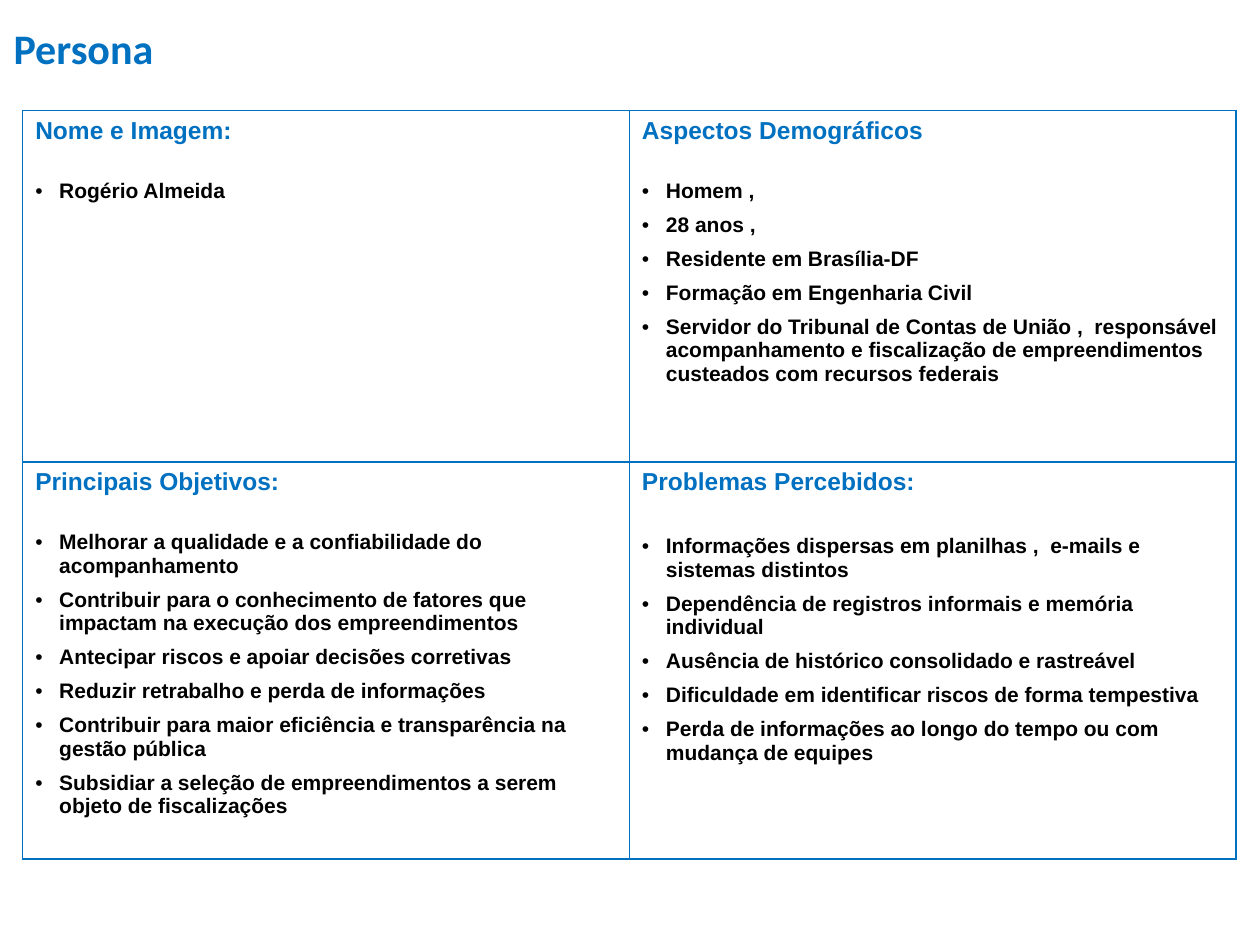
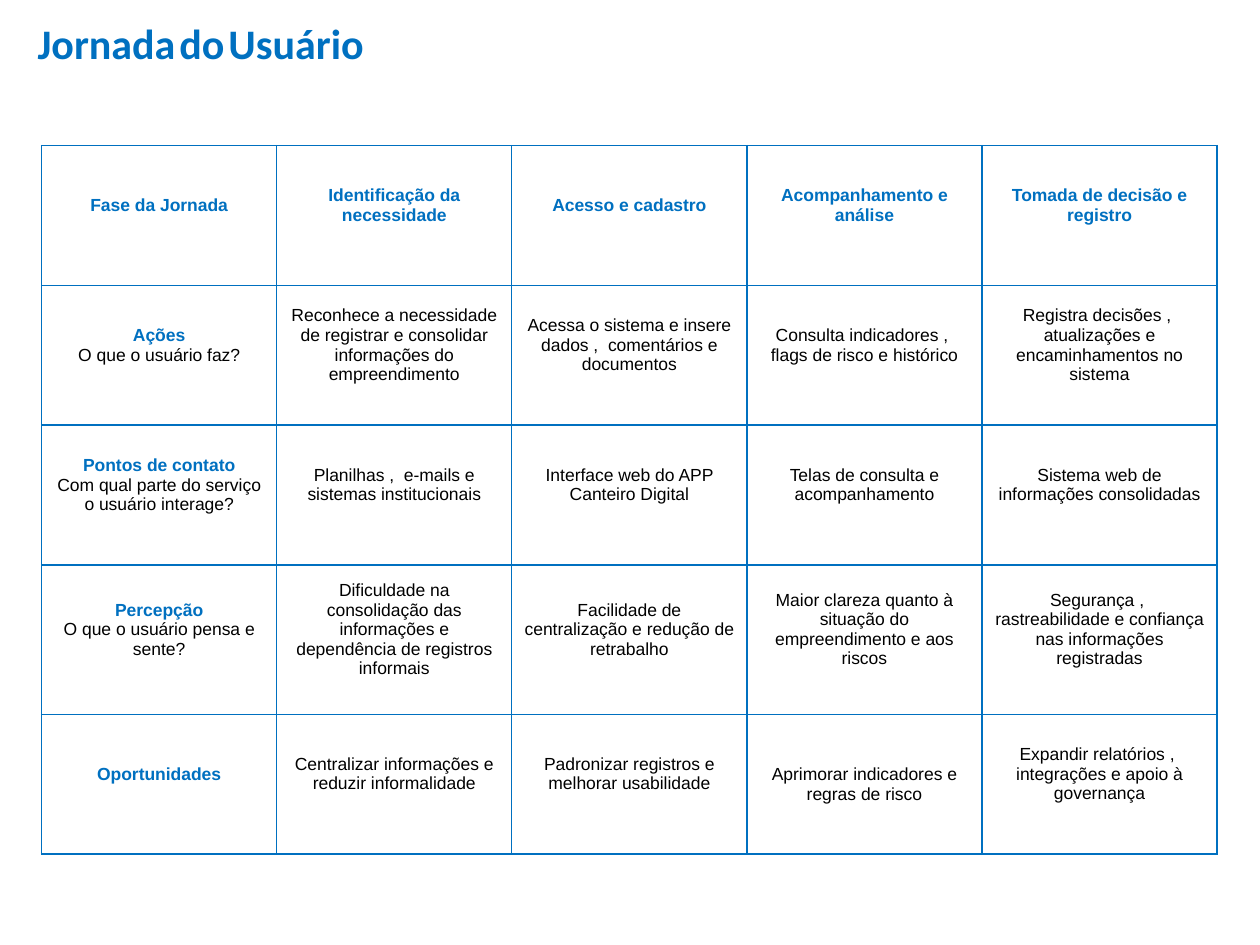
from dataclasses import dataclass

from lxml.etree import SubElement
from pptx import Presentation
from pptx.dml.color import RGBColor
from pptx.enum.text import MSO_ANCHOR, PP_ALIGN
from pptx.oxml.ns import qn
from pptx.util import Inches, Pt


@dataclass(frozen=True)
class Theme:
    accent: str = "0070C0"
    ink: str = "000000"
    title_gap: str = "595959"
    title_font: str = "Calibri"
    body_font: str = "Arial"
    title_size: int = 24
    heading_size: int = 14
    bullet_size: int = 12
    journey_size: int = 10
    border_width: int = 1
    bullet_indent: float = 0.19
    cell_margin: float = 0.05
    raised_margin: float = 0.21


THEME = Theme()
SLIDE_WIDTH = Inches(10)
SLIDE_HEIGHT = Inches(7.5)

PERSONA = [
    [
        ("Nome e Imagem:", 13.8, ["Rogério Almeida"]),
        ("Aspectos Demográficos", 13.8, [
            "Homem ,",
            "28 anos ,",
            "Residente em Brasília-DF",
            "Formação em Engenharia Civil",
            "Servidor do Tribunal de Contas de União ,  responsável acompanhamento "
            "e fiscalização de empreendimentos custeados com recursos federais",
        ]),
    ],
    [
        ("Principais Objetivos:", 13.8, [
            "Melhorar a qualidade e a confiabilidade do acompanhamento",
            "Contribuir para o conhecimento de fatores que impactam na execução dos empreendimentos",
            "Antecipar riscos e apoiar decisões corretivas",
            "Reduzir retrabalho e perda de informações",
            "Contribuir para maior eficiência e transparência na gestão pública",
            "Subsidiar a seleção de empreendimentos a serem objeto de fiscalizações",
        ]),
        ("Problemas Percebidos:", 16.1, [
            "Informações dispersas em planilhas ,  e-mails e sistemas distintos",
            "Dependência de registros informais e memória individual",
            "Ausência de histórico consolidado e rastreável",
            "Dificuldade em identificar riscos de forma tempestiva",
            "Perda de informações ao longo do tempo ou com mudança de equipes",
        ]),
    ],
]

JOURNEY = [
    ["Fase da Jornada", "Identificação da necessidade", "Acesso e cadastro",
     "Acompanhamento e análise", "Tomada de decisão e registro"],
    ["Ações\nO que o usuário faz?",
     "Reconhece a necessidade de registrar e consolidar informações do empreendimento",
     "Acessa o sistema e insere dados ,  comentários e documentos",
     "Consulta indicadores ,  flags de risco e histórico",
     "Registra decisões ,  atualizações e encaminhamentos no sistema"],
    ["Pontos de contato\nCom qual parte do serviço o usuário interage?",
     "Planilhas ,  e-mails e sistemas institucionais",
     "Interface web do APP Canteiro Digital",
     "Telas de consulta e acompanhamento",
     "Sistema web de informações consolidadas"],
    ["Percepção\nO que o usuário pensa e sente?",
     "Dificuldade na consolidação das informações e dependência de registros informais",
     "Facilidade de centralização e redução de retrabalho",
     "Maior clareza quanto à situação do empreendimento e aos riscos",
     "Segurança ,  rastreabilidade e confiança nas informações registradas"],
    ["Oportunidades",
     "Centralizar informações e reduzir informalidade",
     "Padronizar registros e melhorar usabilidade",
     "Aprimorar indicadores e regras de risco",
     "Expandir relatórios ,  integrações e apoio à governança"],
]


def across(percent):
    return int(SLIDE_WIDTH * percent / 100)


def down(percent):
    return int(SLIDE_HEIGHT * percent / 100)


def style_span(span, size, color, bold=True, font=THEME.body_font):
    span.font.name = font
    span.font.size = Pt(size)
    span.font.bold = bold
    span.font.color.rgb = RGBColor.from_string(color)


def style_para(para, size, color, bold=True):
    for span in para.runs:
        style_span(span, size, color, bold)


def add_title(page, words, left, top, width):
    box = page.shapes.add_textbox(across(left), down(top), across(width), down(6.7))
    box.text_frame.word_wrap = True
    para = box.text_frame.paragraphs[0]
    for index, word in enumerate(words):
        if index:
            gap = para.add_run()
            gap.text = " "
            style_span(gap, THEME.journey_size, THEME.title_gap, font=THEME.title_font)
        span = para.add_run()
        span.text = word
        style_span(span, THEME.title_size, THEME.accent, font=THEME.title_font)


def outline_cell(cell):
    properties = cell._tc.get_or_add_tcPr()
    for side in ("lnL", "lnR", "lnT", "lnB"):
        line = SubElement(properties, qn(f"a:{side}"), w=str(Pt(THEME.border_width)))
        fill = SubElement(line, qn("a:solidFill"))
        SubElement(fill, qn("a:srgbClr"), val=THEME.accent)
    cell.fill.background()


def add_grid(page, content, left, top, width, row_heights, fill_cell):
    columns = len(content[0])
    frame = page.shapes.add_table(len(content), columns, across(left), down(top),
                                  across(width), down(sum(row_heights)))
    table = frame.table
    table.first_row = table.horz_banding = False
    for column in table.columns:
        column.width = across(width / columns)
    for row, height in zip(table.rows, row_heights):
        row.height = down(height)
    for row_index, entries in enumerate(content):
        for column_index, entry in enumerate(entries):
            cell = table.cell(row_index, column_index)
            outline_cell(cell)
            fill_cell(cell, entry, row_index, column_index)
    return table


def add_bullet(para):
    para.space_before = Pt(6)
    properties = para._p.get_or_add_pPr()
    indent = Inches(THEME.bullet_indent)
    properties.set("marL", str(indent))
    properties.set("indent", str(-indent))
    SubElement(properties, qn("a:buFont"), typeface=THEME.body_font)
    SubElement(properties, qn("a:buChar"), char="•")


def fill_quadrant(cell, entry, row_index, column_index):
    heading, gap, items = entry
    cell.text_frame.text = "\n".join([heading, *items])
    title, *bullets = cell.text_frame.paragraphs
    style_para(title, THEME.heading_size, THEME.accent)
    title.space_after = Pt(gap)
    for para in bullets:
        style_para(para, THEME.bullet_size, THEME.ink)
        add_bullet(para)


def fill_step(cell, entry, row_index, column_index):
    cell.text_frame.text = entry
    cell.vertical_anchor = MSO_ANCHOR.MIDDLE
    cell.margin_bottom = Inches(THEME.raised_margin)
    for index, para in enumerate(cell.text_frame.paragraphs):
        is_label = row_index == 0 or (column_index == 0 and index == 0)
        para.alignment = PP_ALIGN.CENTER
        style_para(para, THEME.journey_size, THEME.accent if is_label else THEME.ink, is_label)


def add_page(deck):
    return deck.slides.add_slide(deck.slide_layouts[6])


def main():
    deck = Presentation()
    deck.slide_width = SLIDE_WIDTH
    deck.slide_height = SLIDE_HEIGHT

    persona = add_page(deck)
    add_title(persona, ["Persona"], 0.1, 1.7, 25.6)
    add_grid(persona, PERSONA, 1.8, 11.7, 96.3, [37.2, 42], fill_quadrant)

    journey = add_page(deck)
    add_title(journey, ["Jornada", "do", "Usuário"], 2, 1.2, 39.4)
    steps = add_grid(journey, JOURNEY, 3.3, 15.4, 93.3,
                     [14.8, 14.8, 14.8, 15.8, 14.8], fill_step)
    steps.cell(4, 3).margin_bottom = Inches(THEME.cell_margin)

    deck.save("out.pptx")


if __name__ == "__main__":
    main()
